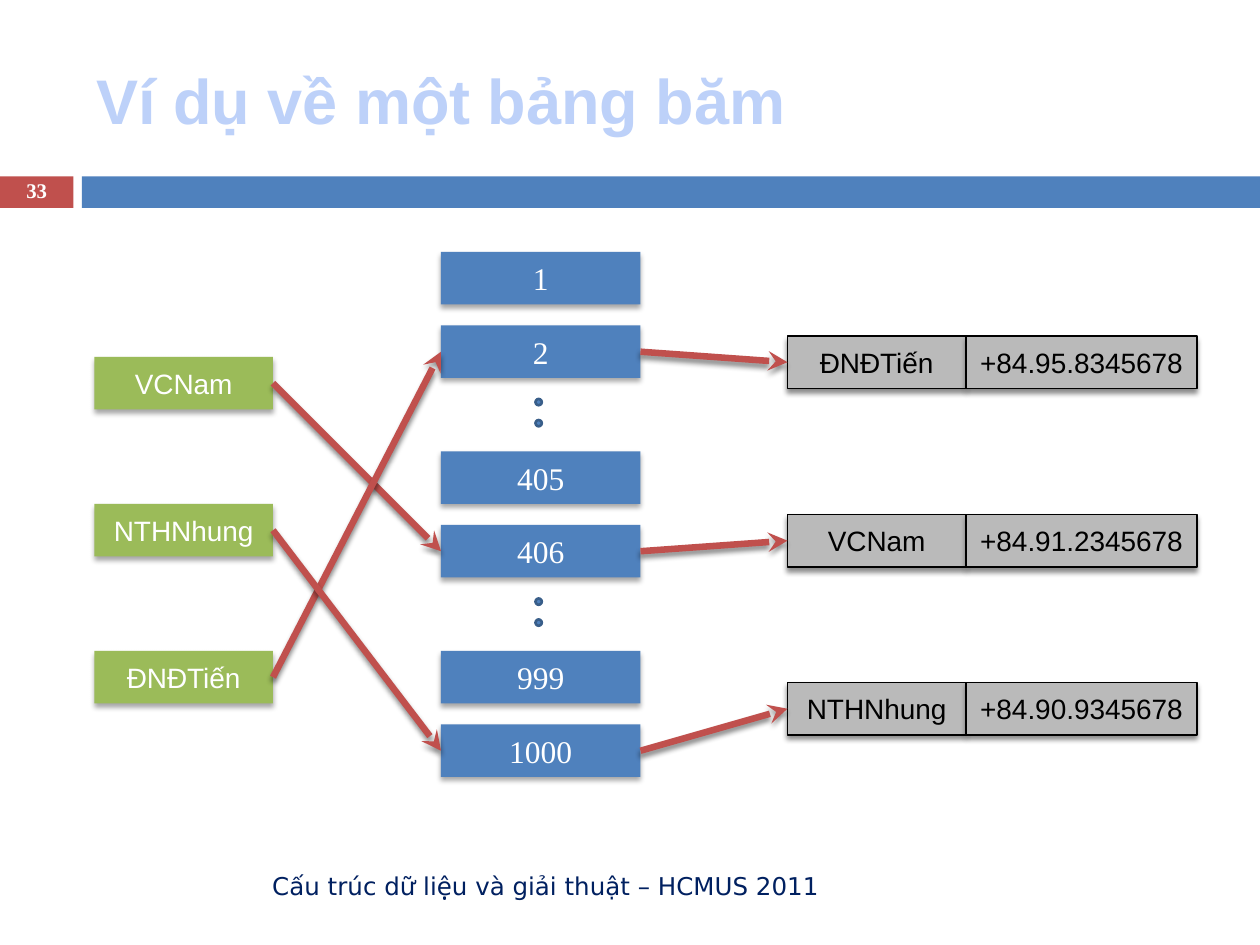
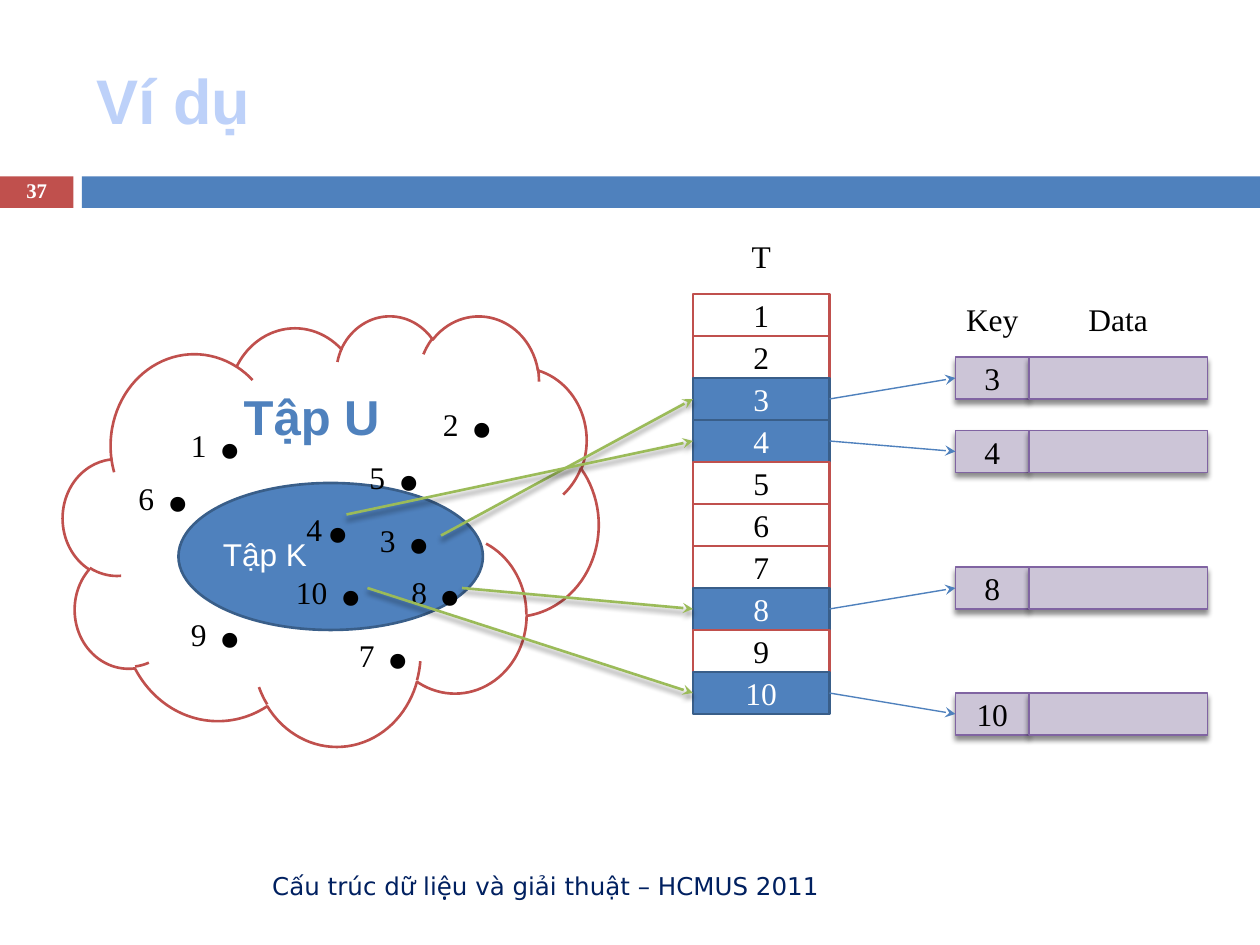
"""Build two slides that explain hash tables by example."""
import lxml.etree
import pptx
import pptx.dml.color
import pptx.enum.shapes
import pptx.enum.text
import pptx.oxml.ns
import pptx.util

PX = 7620
BLUE, RED, GREEN = "4F81BD", "C0504D", "9BBB59"
DARK_BLUE, PURPLE, LILAC, GREY = "395E89", "8064A2", "CCC5D7", "BABABA"
WHITE, BLACK, NAVY, TITLE_BLUE = "FFFFFF", "000000", "002060", "BDD1F9"
SANS, SERIF, FOOTER_FONT = "Arial", "Times New Roman", "DejaVu Sans"
FOOTER = "Cấu trúc dữ liệu và giải thuật – HCMUS 2011"
SOFT_SHADOW = (35, 3, 2)
STRONG_SHADOW = (45, 3, 2.4)
MSO = pptx.enum.shapes.MSO_SHAPE
ALIGN = pptx.enum.text.PP_ALIGN
ANCHOR = pptx.enum.text.MSO_ANCHOR


def px(*lengths):
    return [pptx.util.Emu(n * PX) for n in lengths]


def rgb(color):
    return pptx.dml.color.RGBColor.from_string(color)


def sub(parent, tag, **attrs):
    return lxml.etree.SubElement(parent, pptx.oxml.ns.qn(tag), attrs)


def set_shadow(sp, shadow):
    effects = sub(sp._element.spPr, "a:effectLst")
    if shadow:
        alpha, blur, dist = shadow
        outer = sub(effects, "a:outerShdw", blurRad=str(pptx.util.Pt(blur)),
                    dist=str(pptx.util.Pt(dist)), dir="5400000", rotWithShape="0")
        color = sub(outer, "a:srgbClr", val=BLACK)
        sub(color, "a:alpha", val=str(alpha * 1000))


def format_run(r, size, font, color, bold=False):
    r.font.size = pptx.util.Pt(size)
    r.font.name = font
    r.font.bold = bold
    r.font.color.rgb = rgb(color)


def write(sp, text, size, font, color, bold=False, align=ALIGN.CENTER, anchor=ANCHOR.MIDDLE):
    tf = sp.text_frame
    tf.word_wrap = True
    tf.vertical_anchor = anchor
    p = tf.paragraphs[0]
    p.text = text
    p.alignment = align
    format_run(p.runs[0], size, font, color, bold)
    return p


def add_box(s, box, kind=MSO.RECTANGLE, fill=BLUE, line=None, width=1.5, shadow=None):
    sp = s.shapes.add_shape(kind, *px(*box))
    sp.fill.solid()
    sp.fill.fore_color.rgb = rgb(fill)
    if line:
        sp.line.color.rgb = rgb(line)
        sp.line.width = pptx.util.Pt(width)
    else:
        sp.line.fill.background()
    set_shadow(sp, shadow)
    return sp


def add_label(s, box, *text, **style):
    return write(s.shapes.add_textbox(*px(*box)), *text, **style)


def add_arrow(s, start, end, color, width, shadow=None):
    straight = pptx.enum.shapes.MSO_CONNECTOR.STRAIGHT
    cxn = s.shapes.add_connector(straight, *px(*start, *end))
    cxn.line.color.rgb = rgb(color)
    cxn.line.width = pptx.util.Pt(width)
    sub(cxn.line._get_or_add_ln(), "a:tailEnd", type="stealth")
    set_shadow(cxn, shadow)


def add_point(s, x, y, text, width=90):
    p = add_label(s, (x, y, width, 157), text, 18, SERIF, BLACK,
                  align=ALIGN.LEFT, anchor=ANCHOR.TOP)
    r = p.add_run()
    r.text = "."
    format_run(r, 72, SERIF, BLACK)


def add_base(prs, title, number):
    s = prs.slides.add_slide(prs.slide_layouts[6])
    add_box(s, (0, 168, 70, 30), fill=RED)
    add_box(s, (78, 168, 1122, 30))
    add_label(s, (80, 30, 1070, 130), title, 36, SANS, TITLE_BLUE, True, align=ALIGN.LEFT)
    add_label(s, (80, 820, 712, 48), FOOTER, 14, FOOTER_FONT, NAVY, align=ALIGN.RIGHT)
    p = add_label(s, (0, 167, 70, 32), str(number), 11.9, SERIF, WHITE, True)
    p.line_spacing = 0.8
    return s


def build_phone_book(prs):
    s = add_base(prs, "Ví dụ về một bảng băm", 33)
    slots = {1: 240, 2: 310, 405: 430, 406: 500, 999: 620, 1000: 690}
    for slot, y in slots.items():
        sp = add_box(s, (420, y, 190, 50), shadow=SOFT_SHADOW)
        write(sp, str(slot), 18, SERIF, WHITE)
    for y in (380, 400, 570, 590):
        add_box(s, (510, y, 6, 6), MSO.OVAL, line=DARK_BLUE)
    people = [
        ("VCNam", 340, 406, 490, "+84.91.2345678"),
        ("ĐNĐTiến", 620, 2, 320, "+84.95.8345678"),
        ("NTHNhung", 480, 1000, 650, "+84.90.9345678"),
    ]
    for name, key_y, slot, record_y, phone in people:
        sp = add_box(s, (90, key_y, 170, 50), fill=GREEN, shadow=SOFT_SHADOW)
        write(sp, name, 16, SANS, WHITE)
        for x, width, text in ((750, 170, name), (920, 220, phone)):
            sp = add_box(s, (x, record_y, width, 50), fill=GREY, line=BLACK,
                         width=0.79, shadow=STRONG_SHADOW)
            write(sp, text, 16, SANS, BLACK)
    for name, key_y, slot, record_y, phone in people:
        middle = slots[slot] + 25
        add_arrow(s, (260, key_y + 25), (420, middle), RED, 3.75, STRONG_SHADOW)
        add_arrow(s, (610, middle), (750, record_y + 25), RED, 3.75, STRONG_SHADOW)


def add_key_sets(s):
    cloud = add_box(s, (60, 300, 510, 410), MSO.CLOUD, WHITE, RED)
    write(cloud, "Tập U", 28, SANS, BLUE, True, anchor=ANCHOR.TOP)
    oval = add_box(s, (170, 460, 290, 140), MSO.OVAL, BLUE, DARK_BLUE)
    write(oval, "Tập K", 18, SANS, WHITE, align=ALIGN.LEFT)
    oval.text_frame.margin_left = oval.text_frame.margin_top = 0
    points = [(170, 310, "1 "), (410, 290, "2 "), (350, 400, "3 "), (170, 490, "9 "),
              (380, 450, "8 "), (330, 510, "7 "), (120, 360, "6 "), (340, 340, "5 "),
              (280, 390, "4")]
    for point in points:
        add_point(s, *point)
    add_point(s, 270, 450, "10 ", width=100)


def build_key_table(prs):
    s = add_base(prs, "Ví dụ", 37)
    add_key_sets(s)
    records = {3: 340, 4: 410, 8: 540, 10: 660}
    starts = {3: (420, 510), 4: (330, 490), 8: (440, 560), 10: (350, 560)}
    for key in range(1, 11):
        fill, line, color = (BLUE, DARK_BLUE, WHITE) if key in records else (WHITE, RED, BLACK)
        sp = add_box(s, (660, 240 + 40 * key, 130, 40), fill=fill, line=line)
        write(sp, str(key), 18, SERIF, color)
    for key, y in records.items():
        key_cell, data_cell = [
            add_box(s, (x, y, width, 40), fill=LILAC, line=PURPLE, width=0.79,
                    shadow=STRONG_SHADOW)
            for x, width in ((910, 70), (980, 170))]
        write(key_cell, str(key), 18, SERIF, BLACK)
    for key, y in records.items():
        middle = 260 + 40 * key
        add_arrow(s, starts[key], (660, middle), GREEN, 1.5, STRONG_SHADOW)
        add_arrow(s, (790, middle), (910, y + 20), BLUE, 0.79)
    for text, x, y, width in (("T", 660, 220, 130), ("Key", 900, 280, 90),
                              ("Data", 980, 280, 170)):
        add_label(s, (x, y, width, 48), text, 18, SERIF, BLACK, anchor=ANCHOR.TOP)


def main():
    prs = pptx.Presentation()
    prs.slide_width, prs.slide_height = px(1200, 900)
    build_phone_book(prs)
    build_key_table(prs)
    prs.save("out.pptx")


if __name__ == "__main__":
    main()
